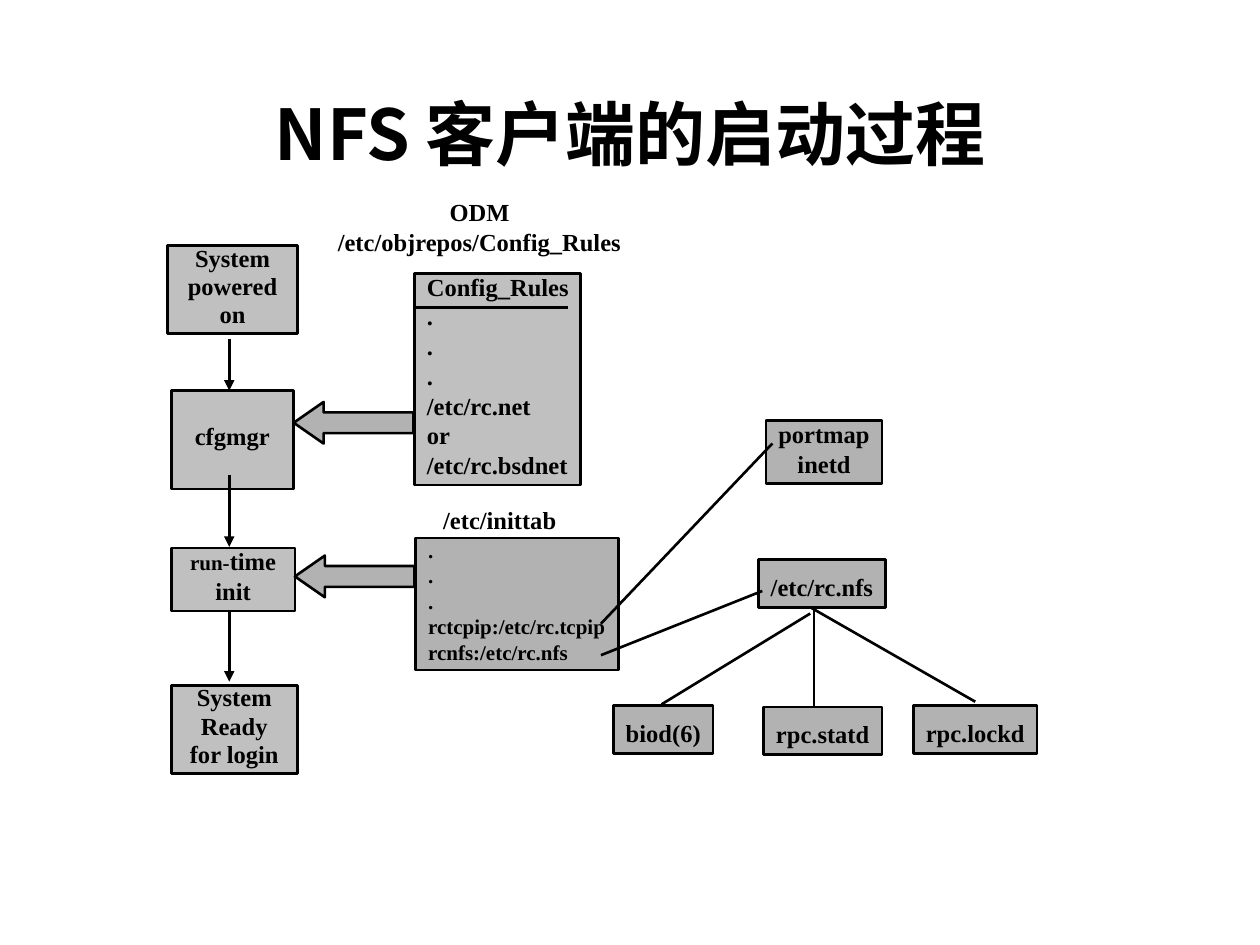
"""Build a slide that shows how an NFS client starts up."""
from lxml.etree import SubElement
from pptx import Presentation
from pptx.dml.color import RGBColor
from pptx.enum.shapes import MSO_CONNECTOR, MSO_SHAPE
from pptx.enum.text import MSO_ANCHOR, MSO_AUTO_SIZE, PP_ALIGN
from pptx.oxml.ns import qn
from pptx.util import Pt

BLACK = RGBColor(0x00, 0x00, 0x00)
LIGHT_GRAY = RGBColor(0xC0, 0xC0, 0xC0)
GRAY = RGBColor(0xB2, 0xB2, 0xB2)
BODY_FONT = "Times New Roman"
TITLE_FONT = "Noto Sans CJK SC"
LINE_WIDTH = 1.5
TOP, MIDDLE = MSO_ANCHOR.TOP, MSO_ANCHOR.MIDDLE
LEFT, CENTER = PP_ALIGN.LEFT, PP_ALIGN.CENTER

TITLE = "NFS 客户端的启动过程"

BOOT_STEPS = [
    (["System", "powered", "on"], (95.8, 140.4, 74.2, 50.4), 0.65, TOP),
    (["cfgmgr"], (97.9, 223.2, 69.8, 56.2), 0.7, MIDDLE),
    ([[("run-", 12), ("time", 14)], "init"], (97.9, 313.2, 70.6, 36), 0.7, TOP),
    (["System", "Ready", "for login"], (97.9, 391.7, 72, 50.4), 0.65, TOP),
]
CONFIG_RULES = ["Config_Rules", ".", ".", ".", "/etc/rc.net", "or", "/etc/rc.bsdnet"]
INITTAB = [".", ".", ".", "rctcpip:/etc/rc.tcpip", "rcnfs:/etc/rc.nfs"]
CAPTIONS = [
    (["ODM", "/etc/objrepos/Config_Rules"], (185.8, 113.8, 176.4, 36), 0.7, CENTER),
    (["/etc/inittab"], (246.2, 281.5, 79.2, 27.4), 1.2, LEFT),
]
DAEMONS = [
    (["portmap", "inetd"], (437.8, 240.5, 66.2, 36), 0.7),
    (["/etc/rc.nfs"], (433.4, 319.7, 72.7, 27.4), 1.2),
    (["biod(6)"], (350.6, 403.2, 56.9, 27.4), 1.2),
    (["rpc.statd"], (436.3, 403.9, 67.7, 27.4), 1.2),
    (["rpc.lockd"], (522, 403.2, 70.6, 27.4), 1.2),
]
INPUT_ARROWS = [(167.8, 229.7, 68.4, 23.8), (168.5, 317.5, 68.4, 23.8)]
LINKS = [
    (236.2, 175.7, 324.7, 175.7),
    (343.4, 356.4, 441.4, 253.4),
    (343.4, 374.4, 435.6, 337.7),
    (378, 402.5, 463, 350.6),
    (465.1, 403.9, 465.1, 348.5),
    (463, 347, 557.3, 401),
]
STEP_X = 131
STEP_ARROWS = [(193.7, 223.2), (271.4, 312.5), (349.2, 389.5)]


def points(values):
    return [Pt(value) for value in values]


def write_lines(frame, lines, spacing, align, size=14, anchor=TOP):
    frame.word_wrap = False
    frame.auto_size = MSO_AUTO_SIZE.NONE
    frame.vertical_anchor = anchor
    for index, line in enumerate(lines):
        paragraph = frame.paragraphs[0] if index == 0 else frame.add_paragraph()
        paragraph.alignment = align
        paragraph.line_spacing = spacing
        paragraph.space_before = Pt(size * 0.375 if index else 0)
        for text, run_size in [(line, size)] if isinstance(line, str) else line:
            run = paragraph.add_run()
            run.text = text
            run.font.name = BODY_FONT
            run.font.size = Pt(run_size)
            run.font.bold = True
            run.font.color.rgb = BLACK


def add_filled(slide, kind, place, fill):
    shape = slide.shapes.add_shape(kind, *points(place))
    shape.shadow.inherit = False
    shape.fill.solid()
    shape.fill.fore_color.rgb = fill
    shape.line.color.rgb = BLACK
    shape.line.width = Pt(LINE_WIDTH)
    return shape


def add_box(slide, lines, place, spacing, fill, align=CENTER, **style):
    box = add_filled(slide, MSO_SHAPE.RECTANGLE, place, fill)
    write_lines(box.text_frame, lines, spacing, align, **style)


def add_link(slide, ends, arrow=False):
    link = slide.shapes.add_connector(MSO_CONNECTOR.STRAIGHT, *points(ends))
    link.line.color.rgb = BLACK
    link.line.width = Pt(LINE_WIDTH)
    if arrow:
        SubElement(link.line._get_or_add_ln(), qn("a:tailEnd"), type="triangle")
    SubElement(link._element.spPr, qn("a:effectLst"))


def add_title(slide):
    title = slide.shapes.title
    title.left, title.top, title.width, title.height = points((54, 36, 612, 80))
    title.text_frame.text = TITLE
    title.text_frame.vertical_anchor = MIDDLE
    paragraph = title.text_frame.paragraphs[0]
    paragraph.alignment = CENTER
    run = paragraph.runs[0]
    run.font.name = TITLE_FONT
    run.font.size = Pt(40)
    run.font.bold = True
    run.font.color.rgb = BLACK
    SubElement(run.font._element, qn("a:ea"), typeface=TITLE_FONT)


def main():
    deck = Presentation()
    deck.slide_width, deck.slide_height = Pt(720), Pt(540)
    slide = deck.slides.add_slide(deck.slide_layouts[5])
    add_title(slide)
    for lines, place, spacing, anchor in BOOT_STEPS:
        add_box(slide, lines, place, spacing, LIGHT_GRAY, anchor=anchor)
    for lines, place, spacing, align in CAPTIONS:
        caption = slide.shapes.add_textbox(*points(place))
        write_lines(caption.text_frame, lines, spacing, align)
    add_box(slide, CONFIG_RULES, (236.9, 156.2, 95, 121), 0.7, LIGHT_GRAY, LEFT)
    add_box(slide, INITTAB, (237.6, 307.4, 115.9, 75.6), 0.7, GRAY, LEFT, size=12)
    for place in INPUT_ARROWS:
        arrow = add_filled(slide, MSO_SHAPE.LEFT_ARROW, place, GRAY)
        arrow.adjustments[1] = 0.72
    for lines, place, spacing in DAEMONS:
        add_box(slide, lines, place, spacing, GRAY)
    for ends in LINKS:
        add_link(slide, ends)
    for start, end in STEP_ARROWS:
        add_link(slide, (STEP_X, start, STEP_X, end), arrow=True)
    deck.save("out.pptx")


if __name__ == "__main__":
    main()
